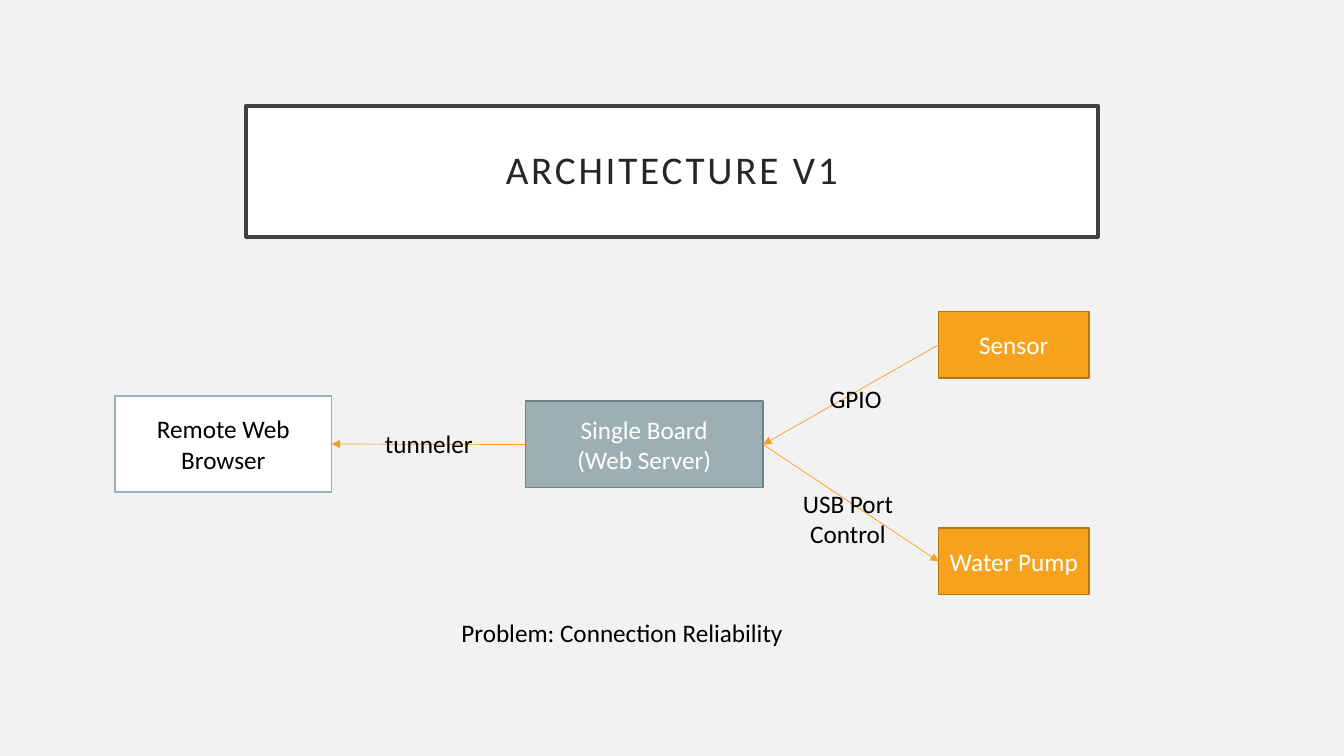
from lxml.etree import SubElement
from pptx import Presentation
from pptx.dml.color import RGBColor
from pptx.enum.shapes import MSO_CONNECTOR, MSO_SHAPE
from pptx.enum.text import MSO_ANCHOR, MSO_AUTO_SIZE, PP_ALIGN
from pptx.oxml.ns import qn
from pptx.util import Inches, Pt

COLORS = {
    "background": "F2F2F2", "white": "FFFFFF", "black": "000000",
    "title_text": "262626", "title_border": "404040",
    "gray": "9BAFB5", "gray_border": "738186",
    "orange": "F6A21D", "orange_border": "B67815",
}
LEFT_SITE, RIGHT_SITE = 1, 3


def color(name):
    return RGBColor.from_string(COLORS[name])


def write_text(frame, text, size=18, text_color="black", align=PP_ALIGN.CENTER,
               line_spacing=None, letter_spacing=None):
    """Fill the frame, one paragraph for each line of text."""
    frame.word_wrap = True
    for index, line in enumerate(text.split("\n")):
        paragraph = frame.add_paragraph() if index else frame.paragraphs[0]
        paragraph.alignment = align
        paragraph.line_spacing = line_spacing
        run = paragraph.add_run()
        run.text = line
        run.font.name = "Calibri"
        run.font.size = Pt(size)
        run.font.color.rgb = color(text_color)
        if letter_spacing:
            run.font._element.set("spc", str(letter_spacing * 100))


class DiagramSlide:
    """Adds styled elements to one slide."""

    def __init__(self, presentation):
        self.slide = presentation.slides.add_slide(presentation.slide_layouts[5])
        fill = self.slide.background.fill
        fill.solid()
        fill.fore_color.rgb = color("background")

    def paint(self, shape, fill, border, width):
        shape.fill.solid()
        shape.fill.fore_color.rgb = color(fill)
        shape.line.color.rgb = color(border)
        shape.line.width = Pt(width)

    def title(self, text, left, top, width, height):
        shape = self.slide.shapes.title
        shape.left, shape.top = Inches(left), Inches(top)
        shape.width, shape.height = Inches(width), Inches(height)
        self.paint(shape, "white", "title_border", 2.5)
        frame = shape.text_frame
        frame.auto_size = MSO_AUTO_SIZE.NONE
        frame.vertical_anchor = MSO_ANCHOR.MIDDLE
        frame.margin_left = frame.margin_right = Inches(0.2)
        frame.margin_top = frame.margin_bottom = Inches(0.2)
        write_text(frame, text, size=28, text_color="title_text",
                   line_spacing=0.9, letter_spacing=2)

    def box(self, text, left, top, width, height, fill, border, text_color="white"):
        shape = self.slide.shapes.add_shape(
            MSO_SHAPE.RECTANGLE, Inches(left), Inches(top), Inches(width), Inches(height))
        shape.shadow.inherit = False
        self.paint(shape, fill, border, 1)
        shape.text_frame.vertical_anchor = MSO_ANCHOR.MIDDLE
        write_text(shape.text_frame, text, text_color=text_color)
        return shape

    def arrow(self, start, start_site, end, end_site):
        connector = self.slide.shapes.add_connector(MSO_CONNECTOR.STRAIGHT, 0, 0, 0, 0)
        connector.begin_connect(start, start_site)
        connector.end_connect(end, end_site)
        connector.line.color.rgb = color("orange")
        connector.line.width = Pt(0.5)
        SubElement(connector.line._get_or_add_ln(), qn("a:tailEnd"), type="triangle")
        SubElement(connector._element.spPr, qn("a:effectLst"))

    def label(self, text, left, top, width, height, align=PP_ALIGN.CENTER):
        shape = self.slide.shapes.add_textbox(
            Inches(left), Inches(top), Inches(width), Inches(height))
        write_text(shape.text_frame, text, align=align)
        shape.text_frame.auto_size = MSO_AUTO_SIZE.SHAPE_TO_FIT_TEXT


def main():
    presentation = Presentation()
    presentation.slide_width = Inches(13.33)
    presentation.slide_height = Inches(7.5)

    diagram = DiagramSlide(presentation)
    diagram.title("ARCHITECTURE V1", 2.44, 1.05, 8.45, 1.3)

    server = diagram.box("Single Board\n(Web Server)", 5.21, 3.98, 2.36, 0.86,
                         "gray", "gray_border")
    sensor, pump = [
        diagram.box(text, 9.31, top, 1.49, 0.66, "orange", "orange_border")
        for text, top in (("Sensor", 3.09), ("Water Pump", 5.24))]
    browser = diagram.box("Remote Web Browser", 1.14, 3.93, 2.15, 0.95,
                          "white", "gray", text_color="black")

    diagram.arrow(sensor, LEFT_SITE, server, RIGHT_SITE)
    diagram.arrow(server, RIGHT_SITE, pump, LEFT_SITE)
    diagram.arrow(server, LEFT_SITE, browser, RIGHT_SITE)

    diagram.label("GPIO", 8.13, 3.75, 0.96, 0.4, align=PP_ALIGN.LEFT)
    diagram.label("USB Port Control", 7.82, 4.79, 1.18, 0.71)
    diagram.label("tunneler", 3.72, 4.2, 1.33, 0.4, align=PP_ALIGN.LEFT)
    diagram.label("Problem: Connection Reliability", 3.79, 6.08, 4.76, 0.4)

    presentation.save("out.pptx")


if __name__ == "__main__":
    main()
